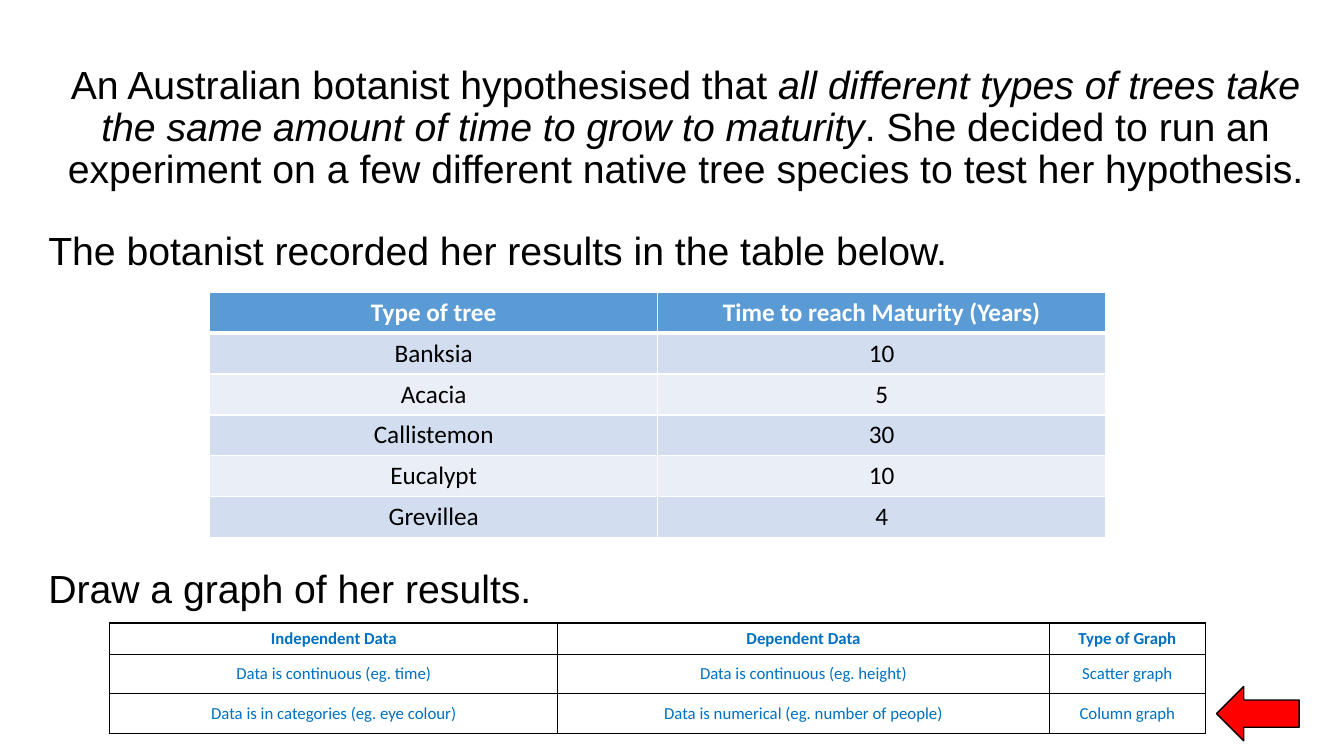
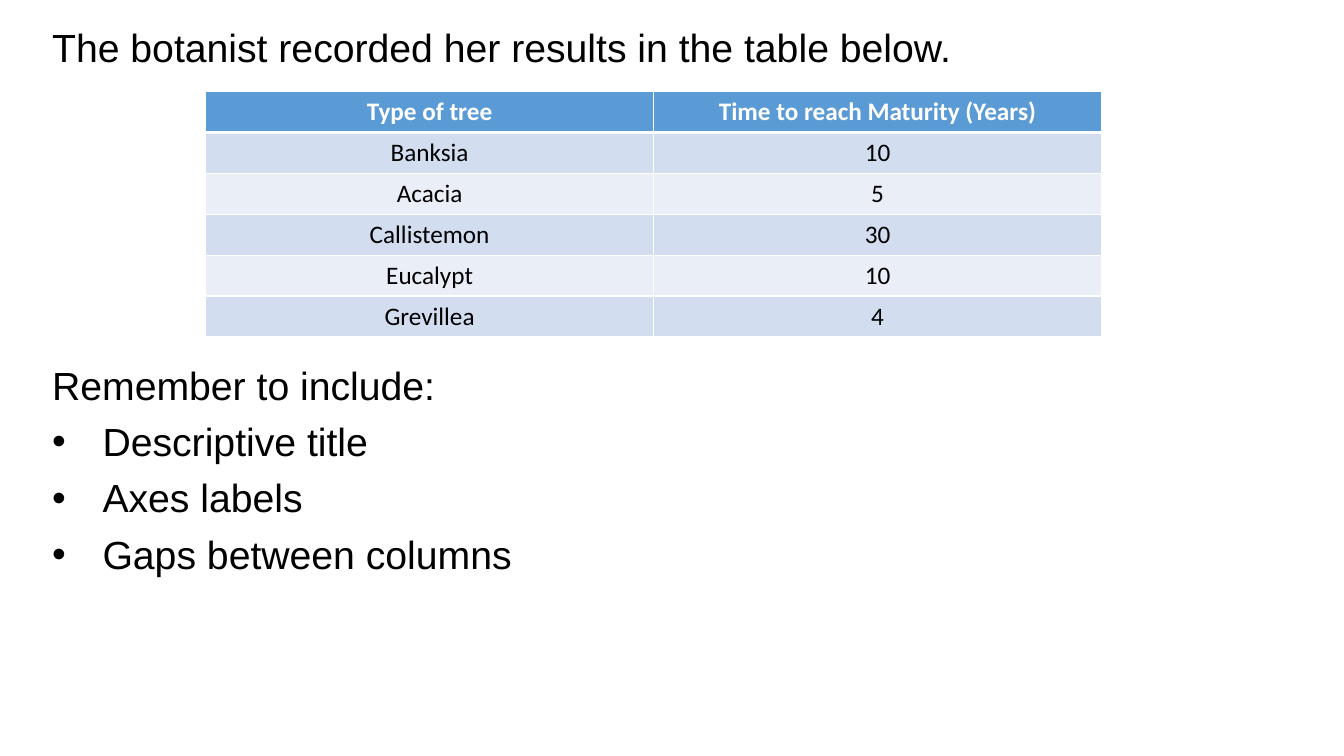
from dataclasses import dataclass

from lxml.etree import SubElement as Sub
from pptx import Presentation
from pptx.dml.color import RGBColor as Rgb
from pptx.enum.shapes import MSO_SHAPE as Kind
from pptx.enum.text import MSO_ANCHOR as Anchor, PP_ALIGN as Align
from pptx.oxml.ns import qn
from pptx.slide import Slide
from pptx.util import Pt

BLACK, WHITE, RED = "000000", "FFFFFF", "FF0000"
HEAD, ODD, EVEN, BLUE = "5B9BD5", "D2DEEF", "EAEFF7", "0070C0"
WIDE = 924.5


@dataclass
class Grid:
    rows: list[tuple[str, ...]]
    cols: list[float]
    highs: list[float]
    size: float
    fills: list[str | None]
    inks: list[str]
    edge: str
    rule: float
    pads: tuple[float, float]
    anchor: Anchor


@dataclass
class Note:
    left: float
    top: float
    lines: list[str]
    high: float = 40
    slant: str = ""
    align: Align = Align.LEFT


TREES = Grid(
    rows=[("Type of tree", "Time to reach Maturity (Years)"), ("Banksia", "10"),
          ("Acacia", "5"), ("Callistemon", "30"), ("Eucalypt", "10"), ("Grevillea", "4")],
    cols=[320, 320], highs=[29.2] * 6, size=18,
    fills=[HEAD] + [ODD, EVEN] * 2 + [ODD], inks=[WHITE] + [BLACK] * 5,
    edge=WHITE, rule=3, pads=(7.2, 3.6), anchor=Anchor.TOP)

GRAPHS = Grid(
    rows=[("Independent Data", "Dependent Data", "Type of Graph"),
          ("Data is continuous (eg. time)", "Data is continuous (eg. height)", "Scatter graph"),
          ("Data is in categories (eg. eye colour)",
           "Data is numerical (eg. number of people)", "Column graph")],
    cols=[320, 351, 111.6], highs=[22.4, 28.2, 28.2], size=12,
    fills=[None] * 3, inks=[BLUE] * 3,
    edge=BLACK, rule=1, pads=(5, 0), anchor=Anchor.MIDDLE)

RESULT = "The botanist recorded her results in the table below."
SLANT = "all different types of trees take the same amount of time to grow to maturity"
INTRO = (f"An Australian botanist hypothesised that {SLANT}. She decided to run an "
         "experiment on a few different native tree species to test her hypothesis.")
TIPS = ["Remember to include:", "Descriptive title", "Axes labels", "Gaps between columns"]


def tint(code: str) -> Rgb:
    return Rgb.from_string(code)


def style(run, size: float, name: str, ink: str) -> None:
    run.font.size, run.font.name = Pt(size), name
    run.font.color.rgb = tint(ink)


def bullet(para) -> None:
    props = para._p.get_or_add_pPr()
    props.set("marL", str(Pt(36)))
    props.set("indent", str(-Pt(36)))
    Sub(props, qn("a:buFont"), typeface="Arial")
    Sub(props, qn("a:buChar"), char="•")


def write(slide: Slide, note: Note) -> None:
    box = slide.shapes.add_textbox(Pt(note.left), Pt(note.top), Pt(WIDE), Pt(note.high))
    frame = box.text_frame
    frame.word_wrap = True
    for i, line in enumerate(note.lines):
        para = frame.paragraphs[0] if i == 0 else frame.add_paragraph()
        if i:
            bullet(para)
            para.space_before = Pt(10)
        para.line_spacing, para.alignment = 0.9, note.align
        parts = line.partition(note.slant) if note.slant else (line,)
        for part in parts:
            run = para.add_run()
            run.text = part
            style(run, 28, "Arial", BLACK)
            if part == note.slant:
                run.font.italic = True


def border(cell, ink: str, low: float) -> None:
    props = cell._tc.get_or_add_tcPr()
    for i, side in enumerate(("lnL", "lnR", "lnT", "lnB")):
        line = props.makeelement(qn(f"a:{side}"), {"w": str(Pt(low if side == "lnB" else 1))})
        Sub(Sub(line, qn("a:solidFill")), qn("a:srgbClr"), val=ink)
        props.insert(i, line)


def tabulate(slide: Slide, grid: Grid, left: float, top: float) -> None:
    table = slide.shapes.add_table(
        len(grid.rows), len(grid.cols), Pt(left), Pt(top),
        Pt(sum(grid.cols)), Pt(sum(grid.highs))).table
    for col, wide in zip(table.columns, grid.cols):
        col.width = Pt(wide)
    for r, texts in enumerate(grid.rows):
        table.rows[r].height = Pt(grid.highs[r])
        for c, text in enumerate(texts):
            cell = table.cell(r, c)
            cell.margin_left = cell.margin_right = Pt(grid.pads[0])
            cell.margin_top = cell.margin_bottom = Pt(grid.pads[1])
            cell.vertical_anchor = grid.anchor
            if grid.fills[r]:
                cell.fill.solid()
                cell.fill.fore_color.rgb = tint(grid.fills[r])
            else:
                cell.fill.background()
            border(cell, grid.edge, grid.rule if r == 0 else 1)
            para = cell.text_frame.paragraphs[0]
            para.text, para.alignment = text, Align.CENTER
            run = para.runs[0]
            style(run, grid.size, "Calibri", grid.inks[r])
            run.font.bold = r == 0


def point(slide: Slide) -> None:
    arrow = slide.shapes.add_shape(Kind.LEFT_ARROW, Pt(869), Pt(490.3), Pt(59), Pt(38.9))
    arrow.shadow.inherit = False
    arrow.fill.solid()
    arrow.fill.fore_color.rgb = tint(RED)
    arrow.line.color.rgb = tint(BLACK)
    arrow.line.width = Pt(1)


def main() -> None:
    deck = Presentation()
    deck.slide_width, deck.slide_height = Pt(960), Pt(540)
    blank = deck.slide_layouts[6]

    task = deck.slides.add_slide(blank)
    write(task, Note(27.4, 43.2, [INTRO], 100, SLANT, Align.CENTER))
    write(task, Note(27.4, 161.6, [RESULT]))
    write(task, Note(27.4, 403.4, ["Draw a graph of her results."]))
    tabulate(task, TREES, 149.8, 208.8)
    tabulate(task, GRAPHS, 78.5, 445)
    point(task)

    hints = deck.slides.add_slide(blank)
    write(hints, Note(30.2, 16.6, [RESULT]))
    write(hints, Note(30.2, 258, TIPS, 165))
    tabulate(hints, TREES, 146.9, 65.5)

    deck.save("out.pptx")


if __name__ == "__main__":
    main()
